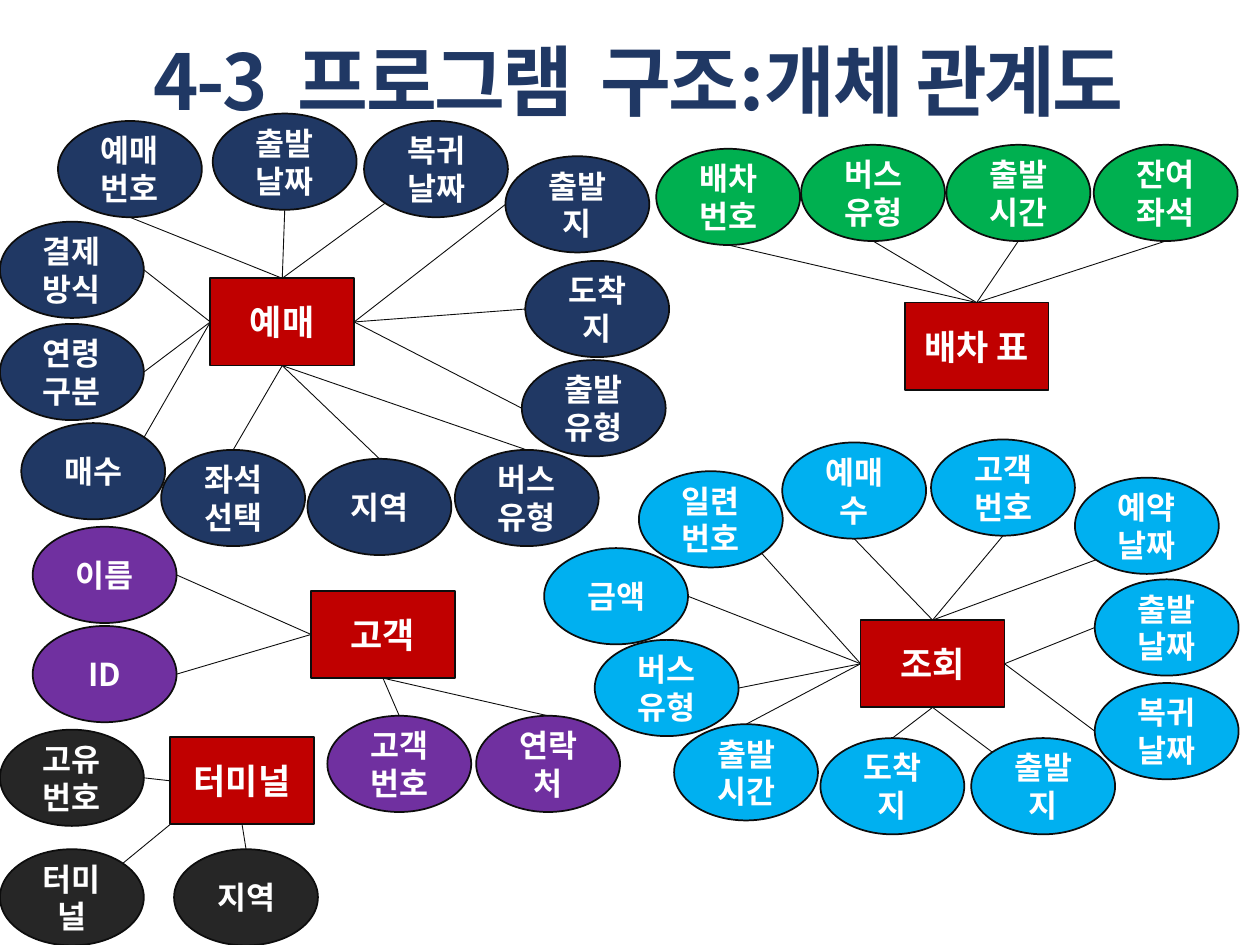
"""Build the entity relationship slide of the ticket booking program."""
from math import hypot

from lxml.etree import SubElement
from pptx import Presentation
from pptx.dml.color import RGBColor
from pptx.enum.shapes import MSO_CONNECTOR as Connector, MSO_SHAPE as Shape
from pptx.enum.text import MSO_ANCHOR as Anchor, PP_ALIGN as Align
from pptx.oxml.ns import qn
from pptx.util import Cm, Pt

NAVY = RGBColor(0x20, 0x38, 0x64)
GREEN = RGBColor(0x00, 0xB0, 0x50)
PURPLE = RGBColor(0x70, 0x30, 0xA0)
CHARCOAL = RGBColor(0x26, 0x26, 0x26)
SKY = RGBColor(0x00, 0xB0, 0xF0)
RED = RGBColor(0xC0, 0x00, 0x00)
INK = RGBColor(0x0D, 0x0D, 0x0D)
WHITE = RGBColor(0xFF, 0xFF, 0xFF)

FONT = "Noto Sans CJK KR"
ENTITY_SIZE = (2.9, 1.76)
ATTRIBUTE_SIZE = (2.9, 1.94)
SIDES = {
    "n": (0, -1), "s": (0, 1), "w": (-1, 0), "e": (1, 0),
    "nw": (-1, -1), "ne": (1, -1), "sw": (-1, 1), "se": (1, 1),
}

ENTITIES = [
    ("예매", 4.24, 5.61, NAVY, [
        ("예매번호", 1.17, 2.44, "n", "s"),
        ("지역", 6.2, 9.25, "s", "n"),
        ("출발지", 10.19, 3.15, "e", "w"),
        ("도착지", 10.59, 5.26, "e", "w"),
        ("출발날짜", 4.29, 2.29, "n", "s"),
        ("출발유형", 10.52, 7.26, "e", "w"),
        ("복귀날짜", 7.34, 2.44, "n", "sw"),
        ("버스유형", 9.17, 9.07, "s", "n"),
        ("좌석선택", 3.25, 9.07, "s", "n"),
        ("연령구분", 0, 6.53, "w", "e"),
        ("매수", 0.43, 8.53, "w", "ne"),
        ("결제방식", 0, 4.47, "w", "e"),
    ]),
    ("배차 표", 18.24, 6.1, GREEN, [
        ("배차번호", 13.23, 3, "n", "s"),
        ("출발시간", 19.08, 2.92, "n", "s"),
        ("잔여좌석", 22.05, 2.92, "n", "s"),
        ("버스유형", 16.15, 2.92, "n", "s"),
    ]),
    ("고객", 6.27, 11.91, PURPLE, [
        ("이름", 0.66, 10.62, "w", "e"),
        ("연락처", 9.6, 14.43, "s", "n"),
        ("ID", 0.66, 12.62, "w", "e"),
        ("고객번호", 6.6, 14.43, "s", "n"),
    ]),
    ("터미널", 3.43, 14.86, CHARCOAL, [
        ("고유번호", 0, 14.71, "w", "e"),
        ("지역", 3.51, 17.12, "s", "n"),
        ("터미널", 0, 17.12, "sw", "ne"),
    ]),
    ("조회", 17.35, 12.5, SKY, [
        ("일련번호", 12.88, 9.5, "w", "se"),
        ("고객번호", 18.77, 8.86, "n", "s"),
        ("예약날짜", 21.67, 9.63, "n", "sw"),
        ("버스유형", 11.99, 12.9, "w", "e"),
        ("출발날짜", 22.07, 11.68, "e", "w"),
        ("복귀날짜", 22.07, 13.77, "e", "w"),
        ("출발지", 19.58, 14.88, "s", "nw"),
        ("예매 수", 15.77, 8.92, "n", "s"),
        ("도착지", 16.54, 14.88, "s", "n"),
        ("출발시간", 13.59, 14.6, "w", "n"),
        ("금액", 10.97, 11.05, "w", "e"),
    ]),
]


def write_text(box, text, *, size, color, line_spacing=None, tracking=None):
    frame = box.text_frame
    frame.word_wrap = True
    frame.vertical_anchor = Anchor.MIDDLE
    para = frame.paragraphs[0]
    para.alignment = Align.CENTER
    para.line_spacing = line_spacing
    span = para.add_run()
    span.text = text
    span.font.size = Pt(size)
    span.font.bold = True
    span.font.name = FONT
    span.font.color.rgb = color
    properties = span.font._element
    SubElement(properties, qn("a:ea")).set("typeface", FONT)
    if tracking is not None:
        properties.set("spc", str(round(tracking * 100)))


def edge_point(left, top, size, side, is_round):
    dx, dy = SIDES[side]
    reach = hypot(dx, dy) if is_round else 1
    width, height = size
    return left + width / 2 * (1 + dx / reach), top + height / 2 * (1 + dy / reach)


class Diagram:
    def __init__(self, page):
        self.page = page
        self.outline = INK
        self.text_color = WHITE

    def title(self, text):
        box = self.page.shapes.add_textbox(Cm(1.93), Cm(0.58), Cm(21.9), Cm(2.29))
        write_text(box, text, size=44, color=NAVY, line_spacing=0.9, tracking=-1.5)

    def node(self, kind, text, left, top, extent, fill, size):
        box = self.page.shapes.add_shape(kind, Cm(left), Cm(top), *map(Cm, extent))
        box.shadow.inherit = False
        box.fill.solid()
        box.fill.fore_color.rgb = fill
        box.line.color.rgb = self.outline
        box.line.width = Pt(1)
        write_text(box, text, size=size, color=self.text_color)

    def entity(self, text, left, top):
        self.node(Shape.RECTANGLE, text, left, top, ENTITY_SIZE, RED, 20)

    def attribute(self, text, left, top, fill):
        self.node(Shape.OVAL, text, left, top, ATTRIBUTE_SIZE, fill, 18)

    def link(self, start, end):
        line = self.page.shapes.add_connector(
            Connector.STRAIGHT, *map(Cm, start + end))
        line.line.color.rgb = self.outline
        line.line.width = Pt(0.5)
        SubElement(line._element.spPr, qn("a:effectLst"))


def main():
    deck = Presentation()
    deck.slide_width, deck.slide_height = Cm(25.4), Cm(19.05)
    diagram = Diagram(deck.slides.add_slide(deck.slide_layouts[6]))
    diagram.title("4-3  프로그램  구조:개체 관계도")
    for name, left, top, fill, attributes in ENTITIES:
        diagram.entity(name, left, top)
        for text, x, y, _, _ in attributes:
            diagram.attribute(text, x, y, fill)
    for _, left, top, _, attributes in ENTITIES:
        for _, x, y, entity_side, attribute_side in attributes:
            diagram.link(
                edge_point(left, top, ENTITY_SIZE, entity_side, False),
                edge_point(x, y, ATTRIBUTE_SIZE, attribute_side, True))
    deck.save("out.pptx")


if __name__ == "__main__":
    main()
